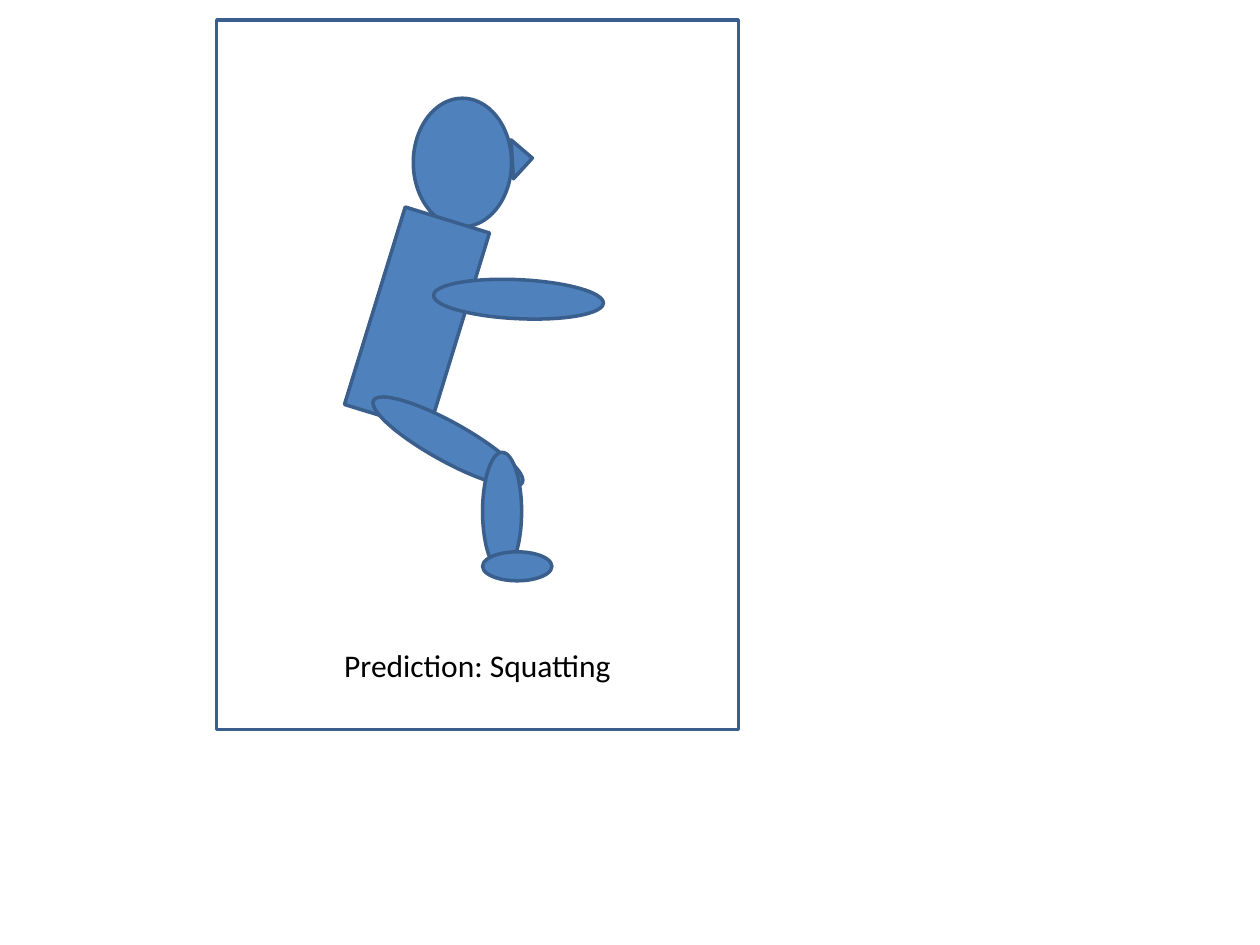
from pptx import Presentation
from pptx.dml.color import RGBColor
from pptx.enum.shapes import MSO_SHAPE
from pptx.enum.text import MSO_AUTO_SIZE, PP_ALIGN
from pptx.util import Inches, Pt

RECT = MSO_SHAPE.RECTANGLE
OVAL = MSO_SHAPE.OVAL
TRIANGLE = MSO_SHAPE.ISOSCELES_TRIANGLE
CENTER = PP_ALIGN.CENTER
FIT_SHAPE = MSO_AUTO_SIZE.SHAPE_TO_FIT_TEXT

WHITE = RGBColor(0xFF, 0xFF, 0xFF)
BLACK = RGBColor(0x00, 0x00, 0x00)
BLUE = RGBColor(0x4F, 0x81, 0xBD)
DARK_BLUE = RGBColor(0x3A, 0x5F, 0x8C)

CARD_LEFT, CARD_TOP, CARD_WIDTH, CARD_HEIGHT = 1.72, 0.16, 4.14, 5.63
LIMB_WIDTH, LIMB_THICKNESS = 1.35, 0.31


def write_text(tf, text, font="Calibri", size=18, color=BLACK, align=CENTER):
    """Write one formatted paragraph into a text frame."""
    p = tf.paragraphs[0]
    p.alignment = align
    r = p.add_run()
    r.text = text
    r.font.name = font
    r.font.size = Pt(size)
    r.font.color.rgb = color


class SlideBuilder:
    """Holds the drawing style and the current slide."""

    line_color = DARK_BLUE
    line_width = 2

    def __init__(self, slide):
        """Keep the slide to draw on."""
        self.slide = slide

    def shape(self, kind, left, top, width, height, rotation=0, fill=BLUE):
        """Add an outlined preset shape."""
        sp = self.slide.shapes.add_shape(
            kind, Inches(left), Inches(top), Inches(width), Inches(height))
        sp.rotation = rotation
        sp.shadow.inherit = False
        sp.fill.solid()
        sp.fill.fore_color.rgb = fill
        sp.line.color.rgb = self.line_color
        sp.line.width = Pt(self.line_width)

    def caption(self, text, left, top, width, height):
        """Add a wrapping, centred text box."""
        sp = self.slide.shapes.add_textbox(
            Inches(left), Inches(top), Inches(width), Inches(height))
        tf = sp.text_frame
        tf.word_wrap = True
        tf.auto_size = FIT_SHAPE
        write_text(tf, text)


def main():
    """Build the slide with the squatting figure and save it."""
    prs = Presentation()
    prs.slide_width, prs.slide_height = Inches(10), Inches(7.5)
    s = SlideBuilder(prs.slides.add_slide(prs.slide_layouts[6]))

    s.shape(RECT, CARD_LEFT, CARD_TOP, CARD_WIDTH, CARD_HEIGHT, fill=WHITE)

    body_parts = [
        (OVAL, 3.28, 0.78, 0.78, 1.02),  # head
        (RECT, 2.96, 1.71, 0.7, 1.64, 17.1),  # torso
        (OVAL, 2.88, 3.35, LIMB_WIDTH, LIMB_THICKNESS, 29),  # thigh
        (OVAL, 3.83, 3.59, LIMB_THICKNESS, 0.94),  # shin
        (OVAL, 3.83, 4.38, 0.55, 0.23),  # foot
        (OVAL, 3.44, 2.22, LIMB_WIDTH, LIMB_THICKNESS, 2.7),  # arm
        (TRIANGLE, 3.99, 1.18, 0.31, 0.16, 86.5),  # nose
    ]
    for part in body_parts:
        s.shape(*part)

    s.caption("Prediction: Squatting", CARD_LEFT, 5.08, CARD_WIDTH, 0.4)
    prs.save("out.pptx")


main()
